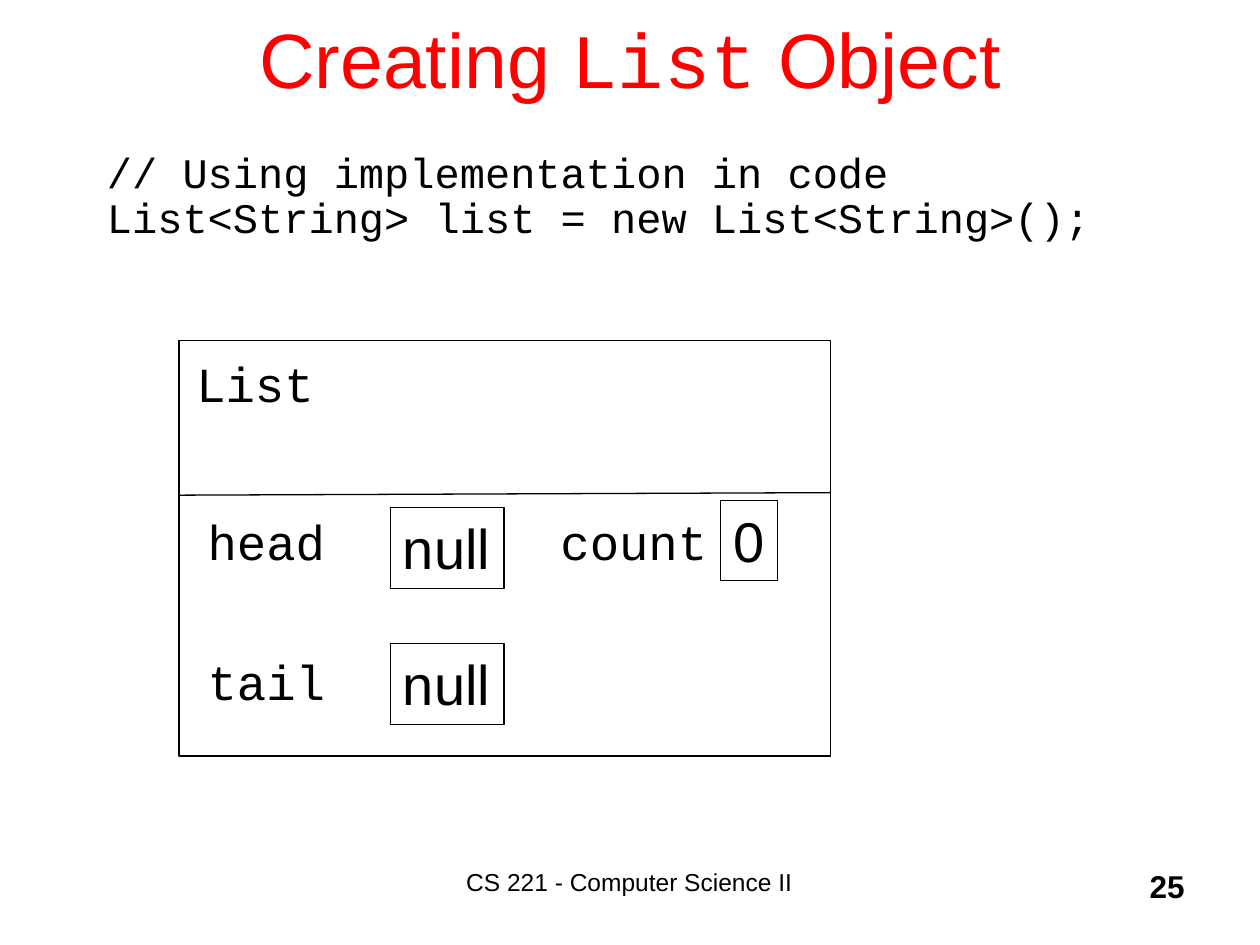
from lxml.etree import SubElement
from pptx import Presentation
from pptx.dml.color import RGBColor as Color
from pptx.enum.shapes import MSO_CONNECTOR as Link, MSO_SHAPE as Shape
from pptx.enum.text import MSO_ANCHOR as Anchor, PP_ALIGN as Align
from pptx.oxml.ns import qn
from pptx.util import Inches, Pt

# Content: a paragraph is a list of (text, font) spans
SANS, MONO = "Arial", "Courier New"
COLORS = {"ink": "000000", "title": "FF0000"}
TITLE = [[("Creating ", SANS), ("List", MONO), (" Object", SANS)]]
CODE = [[("// Using implementation in code", MONO)],
        [("List<String> list = new List<String>();", MONO)]]
CLASS_NAME = [[("List", MONO)]]
FIELDS = [[("head\tcount", MONO)], [("tail", MONO)]]
FOOTER = [[("CS 221 - Computer Science II", SANS)]]
NUMBER = [[("25", SANS)]]

# Layout in inches
WIDTH, HEIGHT = 10, 7.5
LEFT, TOP, BOX_W, BOX_H = 1.42, 2.7, 5.17, 3.3
FIELD_TOP, ROW_STEP, CELL_H = 4.03, 1.08, 0.64
COUNT_TAB = 2.8
VALUES = [("null", 3.1, FIELD_TOP, 0.9),
          ("null", 3.1, FIELD_TOP + ROW_STEP, 0.9),
          ("0", 5.72, 3.97, 0.45)]

deck = Presentation()
deck.slide_width, deck.slide_height = Inches(WIDTH), Inches(HEIGHT)
page = deck.slides.add_slide(deck.slide_layouts[6])


def write(box, paragraphs, size, color="ink", bold=False, align=Align.LEFT,
          anchor=Anchor.TOP, wrap=True, line=None, before=(0,)):
    """Fill a shape with text; the last value of before serves the rest."""
    frame = box.text_frame
    frame.word_wrap, frame.vertical_anchor = wrap, anchor
    for i, spans in enumerate(paragraphs):
        para = frame.paragraphs[0] if i == 0 else frame.add_paragraph()
        para.alignment, para.line_spacing = align, line
        para.space_before = Pt(before[min(i, len(before) - 1)])
        for text, font in spans:
            span = para.add_run()
            span.text = text
            span.font.name, span.font.size, span.font.bold = font, Pt(size), bold
            span.font.color.rgb = Color.from_string(COLORS[color])
    return box


def text_box(left, top, width, height, paragraphs, size, **style):
    box = page.shapes.add_textbox(*map(Inches, (left, top, width, height)))
    return write(box, paragraphs, size, **style)


def ink_line(item):
    item.line.color.rgb = Color.from_string(COLORS["ink"])
    item.line.width = Pt(0.75)


def outline_box(left, top, width, height):
    box = page.shapes.add_shape(Shape.RECTANGLE,
                                *map(Inches, (left, top, width, height)))
    box.shadow.inherit = False
    box.fill.background()
    ink_line(box)
    return box


# Footer, title and code
text_box(3.08, 6.83, 3.83, 0.5, FOOTER, 14, align=Align.CENTER)
text_box(7.42, 6.83, 2.08, 0.5, NUMBER, 18, bold=True, align=Align.RIGHT)
text_box(0.75, -0.17, 8.5, 1.25, TITLE, 44, color="title",
         align=Align.CENTER, anchor=Anchor.MIDDLE)
text_box(0.75, 1.16, 8.89, 1.23, CODE, 24, line=0.9)

# Object diagram: frame, divider and labels
outline_box(LEFT, TOP, BOX_W, BOX_H)
divider = page.shapes.add_connector(
    Link.STRAIGHT, *map(Inches, (LEFT, 3.93, LEFT + BOX_W, 3.91)))
ink_line(divider)
SubElement(divider.element.spPr, qn("a:effectLst"))
text_box(1.46, 2.76, 1.87, 0.57, CLASS_NAME, 28, before=(5,))
fields = text_box(1.55, 4.01, 4.54, 1.7, FIELDS, 28, before=(5, 46.5))
tabs = SubElement(fields.text_frame.paragraphs[0]._p.get_or_add_pPr(), qn("a:tabLst"))
SubElement(tabs, qn("a:tab"), pos=str(Inches(COUNT_TAB)), algn="l")

# Field values
for value, left, top, width in VALUES:
    write(outline_box(left, top, width, CELL_H), [[(value, SANS)]], 32,
          wrap=False, before=(3,))

deck.save("out.pptx")
